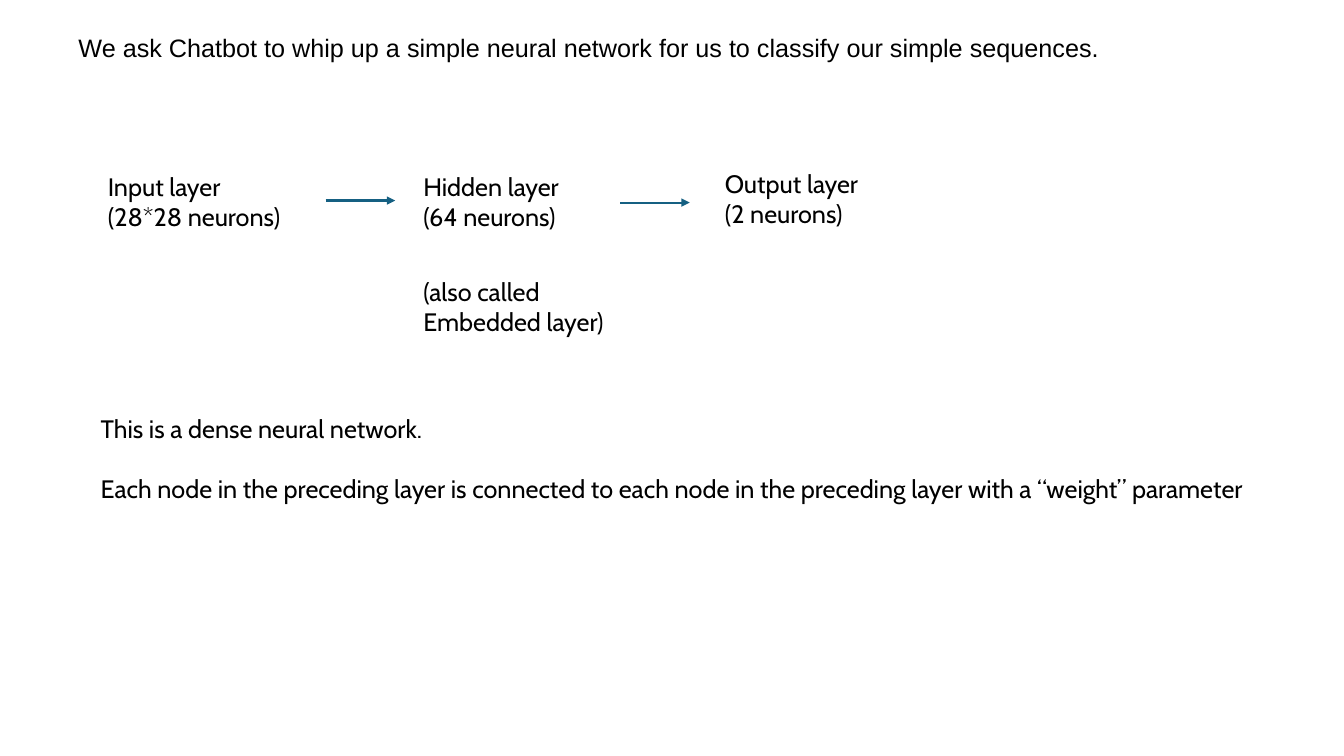
from dataclasses import dataclass

from lxml.etree import SubElement
from pptx import Presentation
from pptx.dml.color import RGBColor
from pptx.enum.shapes import MSO_CONNECTOR
from pptx.enum.text import MSO_ANCHOR, MSO_AUTO_SIZE, PP_ALIGN
from pptx.oxml.ns import qn
from pptx.slide import Slide
from pptx.util import Inches, Pt

BLACK = RGBColor(0x00, 0x00, 0x00)
TEAL = RGBColor(0x15, 0x60, 0x82)
WIDE, HIGH = Inches(13.33), Inches(7.5)
LINE_H = 9.47  # height of a two-line box, percent of the slide
SPAN = 5.18    # length of an arrow, percent of the slide


@dataclass
class Label:
    """A text box; lengths are percent of the slide's width and height."""
    left: float
    top: float
    width: float
    lines: list[str]


@dataclass
class Arrow:
    left: float
    top: float


LAYERS = [
    Label(7.28, 22, 14.63, ["Input layer", "(28*28 neurons)"]),
    Label(30.76, 22, 11.85, ["Hidden layer", "(64 neurons)"]),
    Label(30.76, 35.87, 15.38, ["(also called", "Embedded layer)"]),
    Label(53.19, 21.6, 11.63, ["Output layer", "(2 neurons)"]),
]
ARROWS = [Arrow(24.23, 26.53), Arrow(46.14, 26.8)]
TITLE = Label(5.1, 3.6, 79.44, [
    "We ask Chatbot to whip up a simple neural network for us "
    "to classify our simple sequences."])
NOTES = Label(6.75, 54, 88.45, [
    "This is a dense neural network.",
    "Each node in the preceding layer is connected to each node "
    "in the preceding layer with a “weight” parameter"])


def across(share: float) -> int:
    return round(WIDE * share / 100)


def down(share: float) -> int:
    return round(HIGH * share / 100)


def write(slide: Slide, label: Label, *, font: str = "Cabin", size: float = 18,
          color: RGBColor = BLACK, height: float = LINE_H, gap: float = 0) -> None:
    box = slide.shapes.add_textbox(across(label.left), down(label.top),
                                   across(label.width), down(height))
    frame = box.text_frame
    frame.word_wrap = False
    frame.auto_size = MSO_AUTO_SIZE.SHAPE_TO_FIT_TEXT
    frame.vertical_anchor = MSO_ANCHOR.TOP
    for i, line in enumerate(label.lines):
        para = frame.add_paragraph() if i else frame.paragraphs[0]
        para.alignment = PP_ALIGN.LEFT
        if i and gap:
            para.space_before = Pt(gap)
        run = para.add_run()
        run.text = line
        run.font.name = font
        run.font.size = Pt(size)
        run.font.color.rgb = color


def point(slide: Slide, arrow: Arrow) -> None:
    y = down(arrow.top)
    link = slide.shapes.add_connector(MSO_CONNECTOR.STRAIGHT, across(arrow.left), y,
                                      across(arrow.left + SPAN), y)
    link.line.color.rgb = TEAL
    link.line.width = Pt(1.5)
    SubElement(link.line._get_or_add_ln(), qn("a:tailEnd"), type="triangle")
    SubElement(link._element.spPr, qn("a:effectLst"))


def main() -> None:
    deck = Presentation()
    deck.slide_width, deck.slide_height = WIDE, HIGH
    slide = deck.slides.add_slide(deck.slide_layouts[6])

    # Heading
    write(slide, TITLE, font="Arial")

    # Network layers and the flow between them
    for layer in LAYERS:
        write(slide, layer)
    for arrow in ARROWS:
        point(slide, arrow)

    # Explanation
    write(slide, NOTES, height=13.47, gap=21)

    deck.save("out.pptx")


if __name__ == "__main__":
    main()
